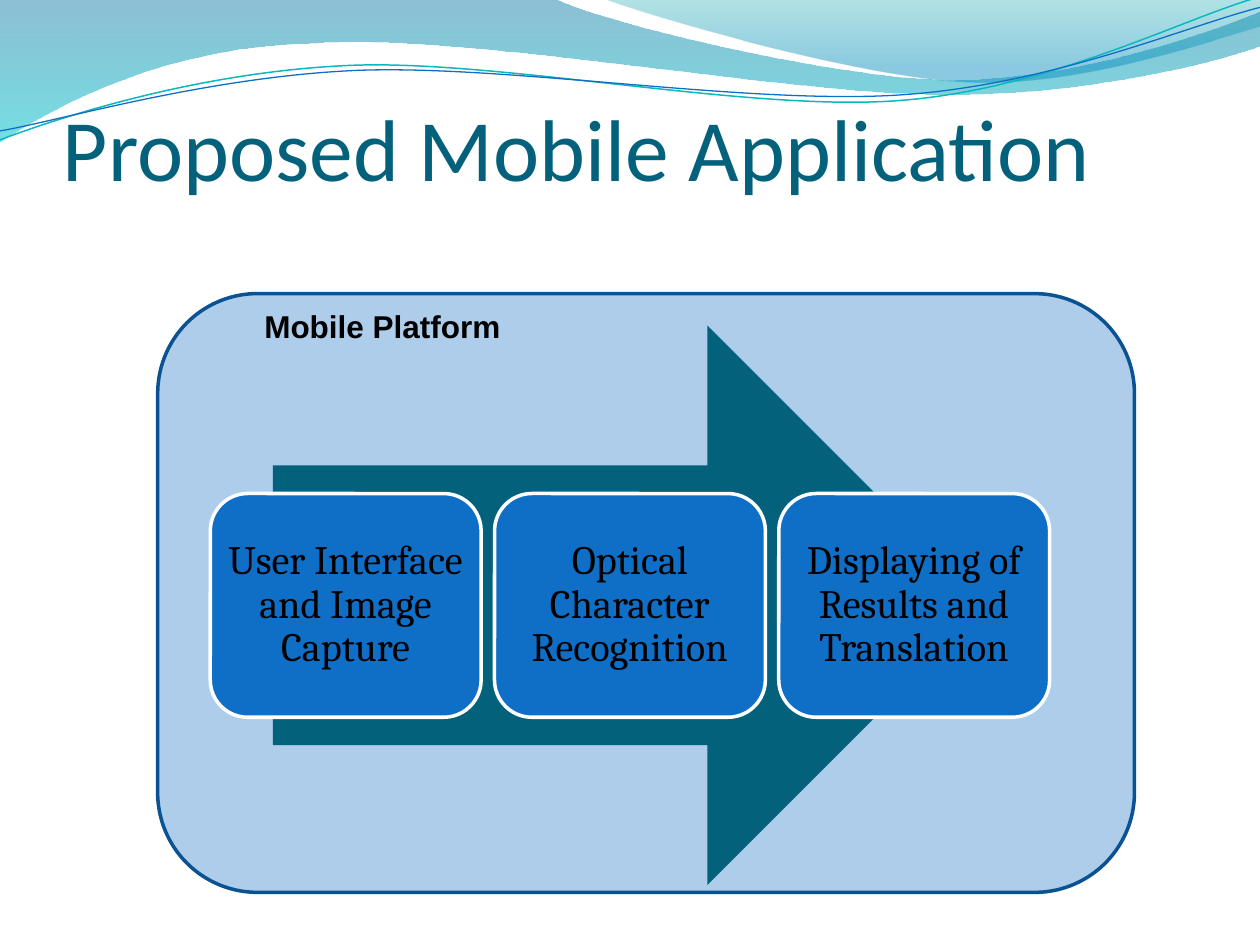
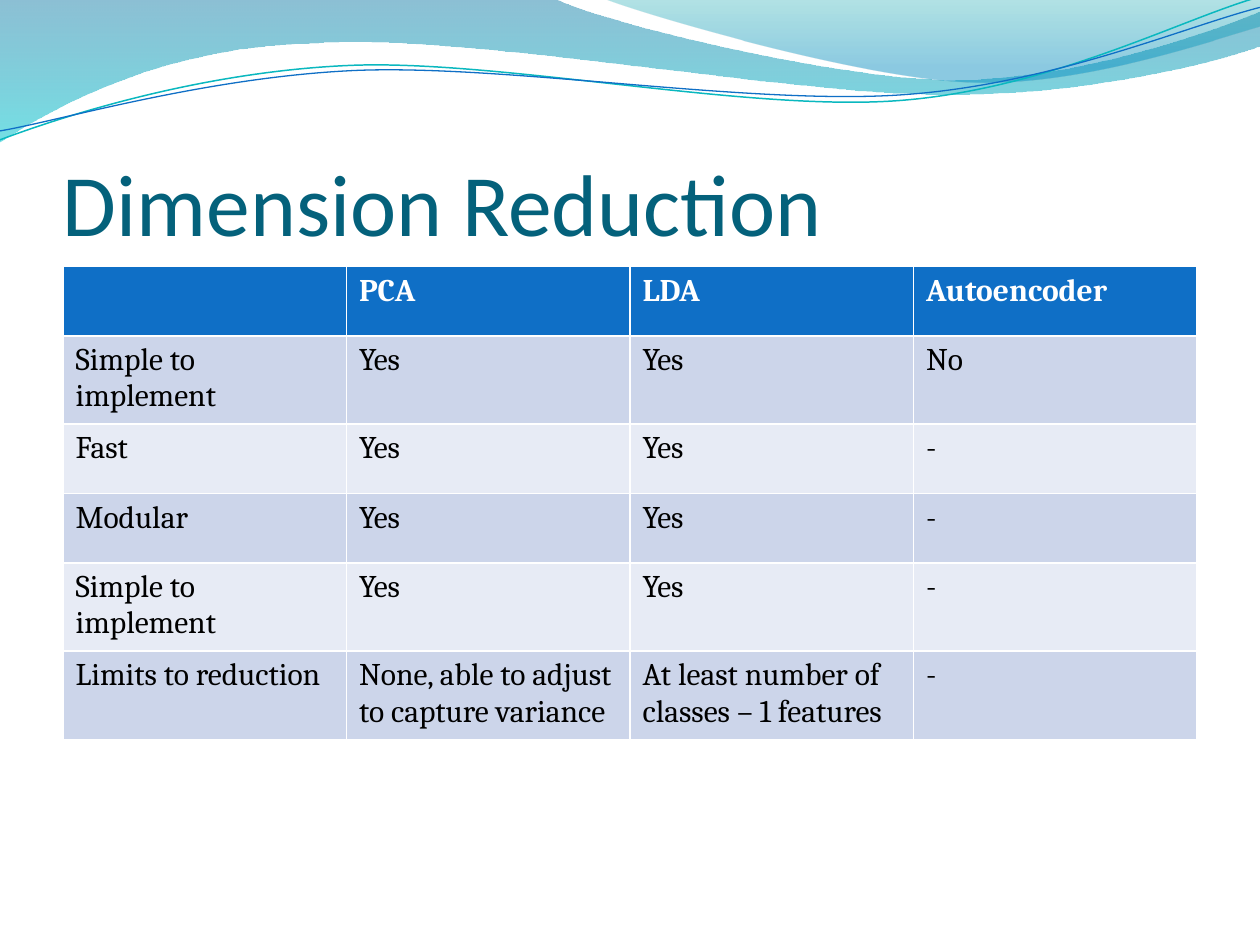
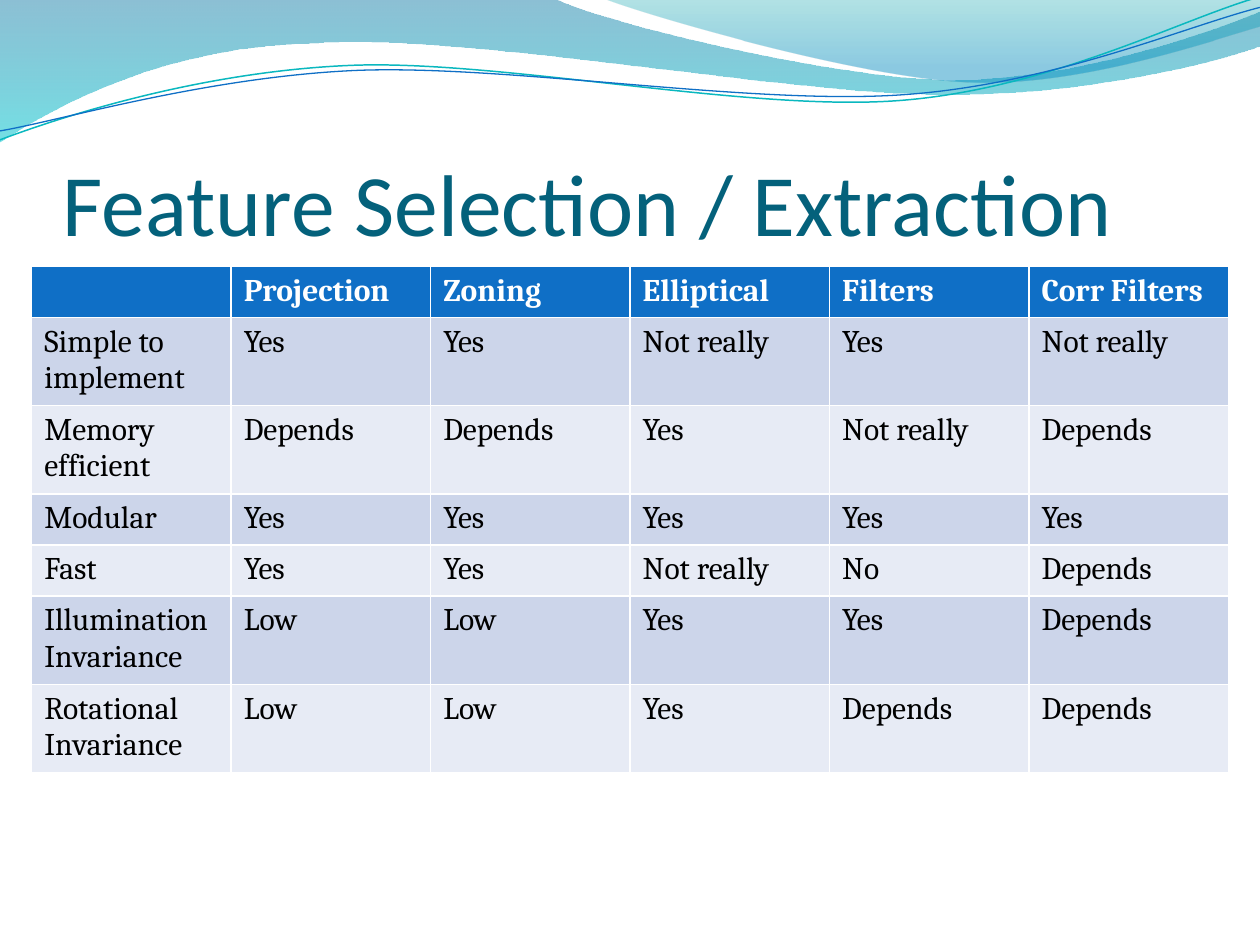
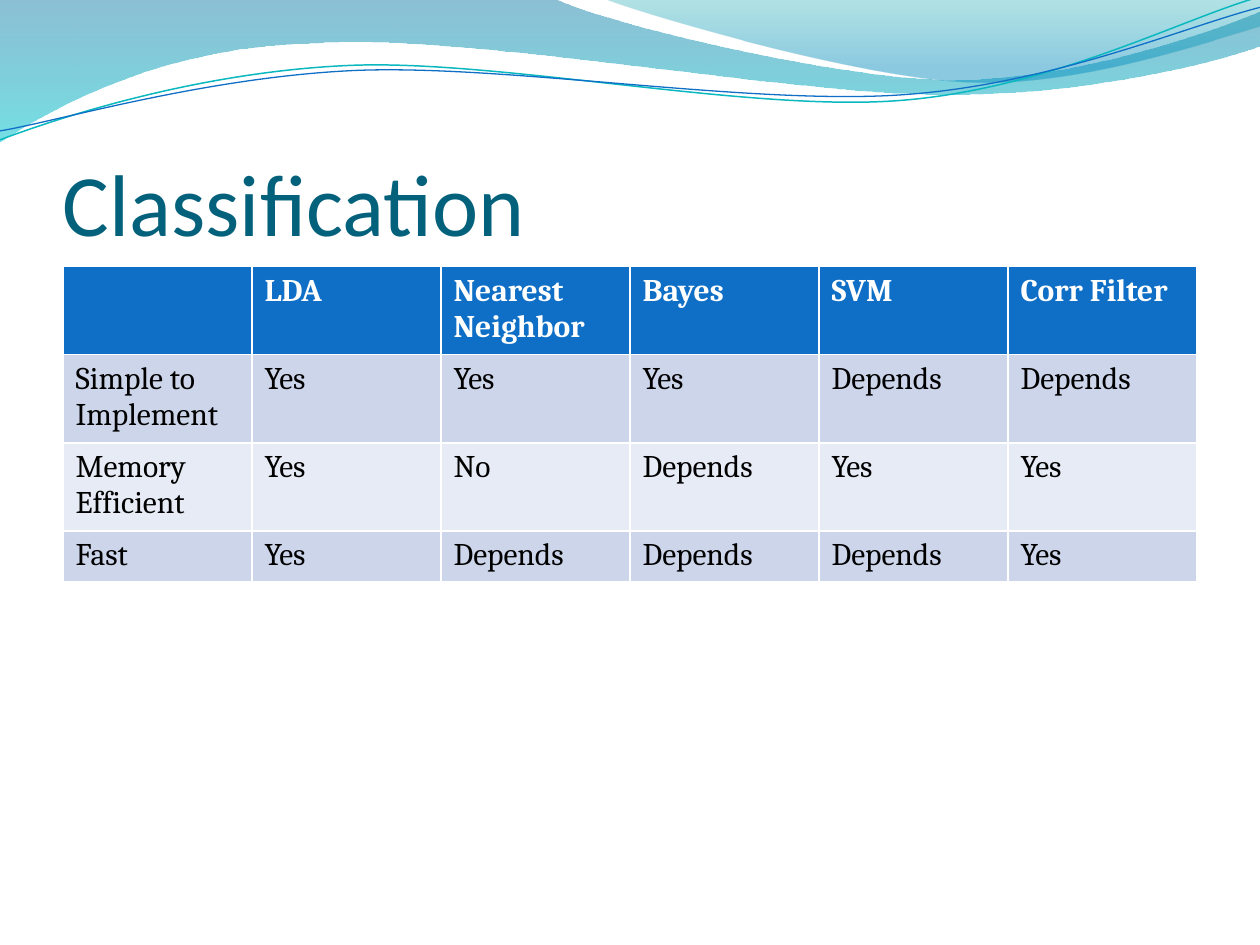
from dataclasses import dataclass

from lxml import etree
from pptx import Presentation
from pptx.dml.color import RGBColor
from pptx.enum.shapes import MSO_SHAPE
from pptx.enum.text import MSO_ANCHOR, PP_ALIGN
from pptx.oxml.ns import qn
from pptx.shapes.base import BaseShape
from pptx.slide import Slide
from pptx.text.text import TextFrame
from pptx.util import Cm, Pt

ROUND = MSO_SHAPE.ROUNDED_RECTANGLE
ARROW = MSO_SHAPE.RIGHT_ARROW
BOTTOM, MIDDLE = MSO_ANCHOR.BOTTOM, MSO_ANCHOR.MIDDLE
CENTER = PP_ALIGN.CENTER

COLORS = {
    "white": "FFFFFF", "black": "000000",
    "teal": "04617B", "blue": "0F6FC6", "navy": "0B5292", "aqua": "0AB8BF",
    "odd": "CCD5EA", "even": "E7EBF5",
    "steel": "0074A1", "cyan": "00C6CF", "sea": "00A1A9", "sky": "008BBF",
}


@dataclass(frozen=True)
class Box:
    left: float
    top: float
    width: float
    height: float

    def lengths(self) -> tuple:
        return Cm(self.left), Cm(self.top), Cm(self.width), Cm(self.height)


@dataclass(frozen=True)
class Stop:
    color: str
    place: float
    alpha: int


@dataclass(frozen=True)
class Wave:
    start: tuple
    legs: tuple
    stops: tuple = ()
    line: str = ""
    weight: float = 0


@dataclass(frozen=True)
class Grid:
    title: str
    left: float
    width: float
    row: float
    head: str
    body: tuple


WAVES = (
    Wave((0, 0), (
        (11.18, -0.03),
        (12.09, 0.43, 16.87, 1.6, 19.25, 1.6),
        (21.67, 1.6, 24.33, 0.66, 25.4, 0.23),
        (25.43, 0.91),
        (24.97, 1.12, 22.1, 1.93, 18.95, 1.9),
        (15.8, 1.9, 9.7, 0.71, 6.53, 0.86),
        (3.28, 0.91, 1.17, 2.11, -0.03, 2.87),
        (0, 0),
    ), stops=(Stop("steel", 0, 45), Stop("cyan", 1, 55))),
    Wave((12.17, -0.03), (
        (12.93, 0.28, 17.32, 1.57, 19.53, 1.65),
        (21.74, 1.75, 24.41, 0.81, 25.4, 0.53),
        (25.4, 0),
        (12.17, -0.03),
    ), stops=(Stop("sea", 0, 30), Stop("sky", 0.8, 45))),
    Wave((0, 2.82), (
        (1.22, 2.36, 4.01, 1.45, 7.04, 1.32),
        (10.03, 1.19, 15.06, 2.26, 18.11, 2.03),
        (21.16, 1.8, 23.83, 0.38, 25.35, -0.05),
    ), line="aqua", weight=0.85),
    Wave((0, 2.64), (
        (1.19, 2.44, 4.17, 1.55, 7.19, 1.42),
        (10.24, 1.3, 15.16, 2.13, 18.21, 1.91),
        (21.23, 1.7, 23.9, 0.53, 25.4, 0.15),
    ), line="blue", weight=0.75),
)

STAGES = (
    "User Interface and Image Capture",
    "Optical Character Recognition",
    "Displaying of Results and Translation",
)

GRIDS = (
    Grid("Dimension Reduction", 1.27, 22.86, 1.4, "|PCA|LDA|Autoencoder", (
        "Simple to implement|Yes|Yes|No",
        "Fast|Yes|Yes|-",
        "Modular|Yes|Yes|-",
        "Simple to implement|Yes|Yes|-",
        "Limits to reduction|None, able to adjust to capture variance"
        "|At least number of classes – 1 features|-",
    )),
    Grid("Feature Selection / Extraction", 0.64, 24.13, 1.03,
         "|Projection|Zoning|Elliptical|Filters|Corr Filters", (
             "Simple to implement|Yes|Yes|Not really|Yes|Not really",
             "Memory efficient|Depends|Depends|Yes|Not really|Depends",
             "Modular|Yes|Yes|Yes|Yes|Yes",
             "Fast|Yes|Yes|Not really|No|Depends",
             "Illumination Invariance|Low|Low|Yes|Yes|Depends",
             "Rotational Invariance|Low|Low|Yes|Depends|Depends",
         )),
    Grid("Classification", 1.27, 22.86, 1.03,
         "|LDA|Nearest Neighbor|Bayes|SVM|Corr Filter", (
             "Simple to Implement|Yes|Yes|Yes|Depends|Depends",
             "Memory Efficient|Yes|No|Depends|Yes|Yes",
             "Fast|Yes|Depends|Depends|Depends|Yes",
         )),
)


def rgb(name: str) -> RGBColor:
    return RGBColor.from_string(COLORS[name])


def write(frame: TextFrame, words: str, *, size: float = 18, font: str = "Cambria",
          color: str = "black", bold: bool = False, align=None, anchor=None,
          insets: tuple = (), spacing=None) -> None:
    frame.word_wrap = True
    if anchor is not None:
        frame.vertical_anchor = anchor
    if insets:
        (frame.margin_left, frame.margin_top,
         frame.margin_right, frame.margin_bottom) = map(Cm, insets)
    para = frame.paragraphs[0]
    para.alignment = align
    para.line_spacing = spacing
    if words:
        run = para.add_run()
        run.text = words
        run.font.size = Pt(size)
        run.font.name = font
        run.font.bold = bold
        run.font.color.rgb = rgb(color)


def fade(shape: BaseShape, *alphas: int) -> None:
    for tint, alpha in zip(shape.element.iter(qn("a:srgbClr")), alphas):
        etree.SubElement(tint, qn("a:alpha"), val=str(alpha * 1000))


def bend(shape: BaseShape, legs: tuple) -> None:
    lines = list(shape.element.iter(qn("a:lnTo")))
    for line, leg in zip(lines, legs):
        if len(leg) == 2:
            continue
        curve = etree.Element(qn("a:cubicBezTo"))
        for x, y in zip(leg[::2], leg[1::2]):
            etree.SubElement(curve, qn("a:pt"), x=str(Cm(x) - shape.left),
                             y=str(Cm(y) - shape.top))
        line.getparent().replace(line, curve)


def draw_wave(slide: Slide, wave: Wave) -> None:
    pen = slide.shapes.build_freeform(*map(Cm, wave.start))
    ends = [tuple(map(Cm, leg[-2:])) for leg in wave.legs]
    pen.add_line_segments(ends, close=bool(wave.stops))
    shape = pen.convert_to_shape()
    bend(shape, wave.legs)
    shape.shadow.inherit = False
    if wave.stops:
        shape.fill.gradient()
        shape.fill.gradient_angle = 270
        for mark, stop in zip(shape.fill.gradient_stops, wave.stops):
            mark.color.rgb = rgb(stop.color)
            mark.position = stop.place
        fade(shape, *(stop.alpha for stop in wave.stops))
        shape.line.fill.background()
    else:
        shape.fill.background()
        shape.line.color.rgb = rgb(wave.line)
        shape.line.width = Pt(wave.weight)


def add_block(slide: Slide, kind, box: Box, fill: str, line: str = "") -> BaseShape:
    shape = slide.shapes.add_shape(kind, *box.lengths())
    shape.shadow.inherit = False
    shape.fill.solid()
    shape.fill.fore_color.rgb = rgb(fill)
    if line:
        shape.line.color.rgb = rgb(line)
        shape.line.width = Pt(2)
    else:
        shape.line.fill.background()
    return shape


def add_text(slide: Slide, box: Box, words: str, **style) -> None:
    write(slide.shapes.add_textbox(*box.lengths()).text_frame, words, **style)


def add_page(deck, title: str, top: float = 1.95) -> Slide:
    slide = deck.slides.add_slide(deck.slide_layouts[6])
    for wave in WAVES:
        draw_wave(slide, wave)
    add_text(slide, Box(1.27, top, 22.86, 3.18), title, size=50, font="Calibri",
             color="teal", anchor=BOTTOM, insets=(0, 0.13, 0, 0))
    return slide


def add_grid(slide: Slide, grid: Grid) -> None:
    rows = [line.split("|") for line in (grid.head, *grid.body)]
    count = len(rows[0])
    box = Box(grid.left, 5.37, grid.width, grid.row * len(rows))
    table = slide.shapes.add_table(len(rows), count, *box.lengths()).table
    for col in table.columns:
        col.width = Cm(grid.width / count)
    for r, row in enumerate(rows):
        table.rows[r].height = Cm(grid.row)
        for c, words in enumerate(row):
            cell = table.cell(r, c)
            cell.fill.solid()
            cell.fill.fore_color.rgb = rgb(
                "blue" if r == 0 else "odd" if r % 2 else "even")
            write(cell.text_frame, words, bold=r == 0,
                  color="white" if r == 0 else "black")


def add_flow(slide: Slide) -> None:
    panel = add_block(slide, ROUND, Box(3.18, 5.92, 19.69, 12.07), "blue", "navy")
    fade(panel, 34)
    add_block(slide, ARROW, Box(5.5, 6.56, 14.4, 11.28), "teal")
    for i, words in enumerate(STAGES):
        stage = add_block(slide, ROUND, Box(4.24 + 5.73 * i, 9.95, 5.46, 4.51),
                          "blue", "white")
        write(stage.text_frame, words, size=23, align=CENTER, anchor=MIDDLE,
              insets=(0.03,) * 4, spacing=0.9)
    add_text(slide, Box(5.08, 6.07, 5.74, 1.02), "Mobile Platform",
             font="Arial", bold=True)


def main() -> None:
    deck = Presentation()
    deck.slide_width, deck.slide_height = Cm(25.4), Cm(19.05)
    add_flow(add_page(deck, "Proposed Mobile Application", top=0.84))
    for grid in GRIDS:
        add_grid(add_page(deck, grid.title), grid)
    deck.save("out.pptx")


if __name__ == "__main__":
    main()
